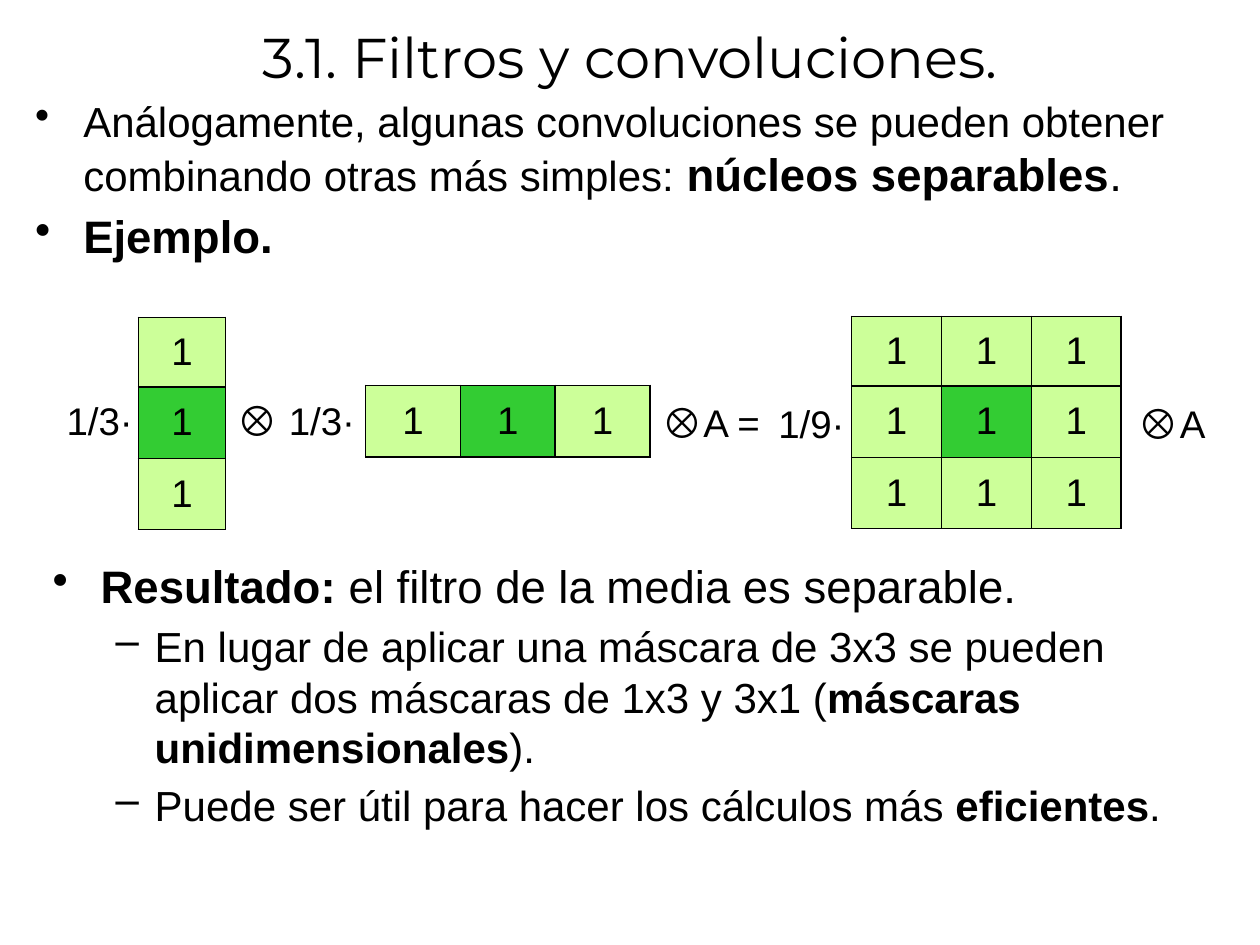
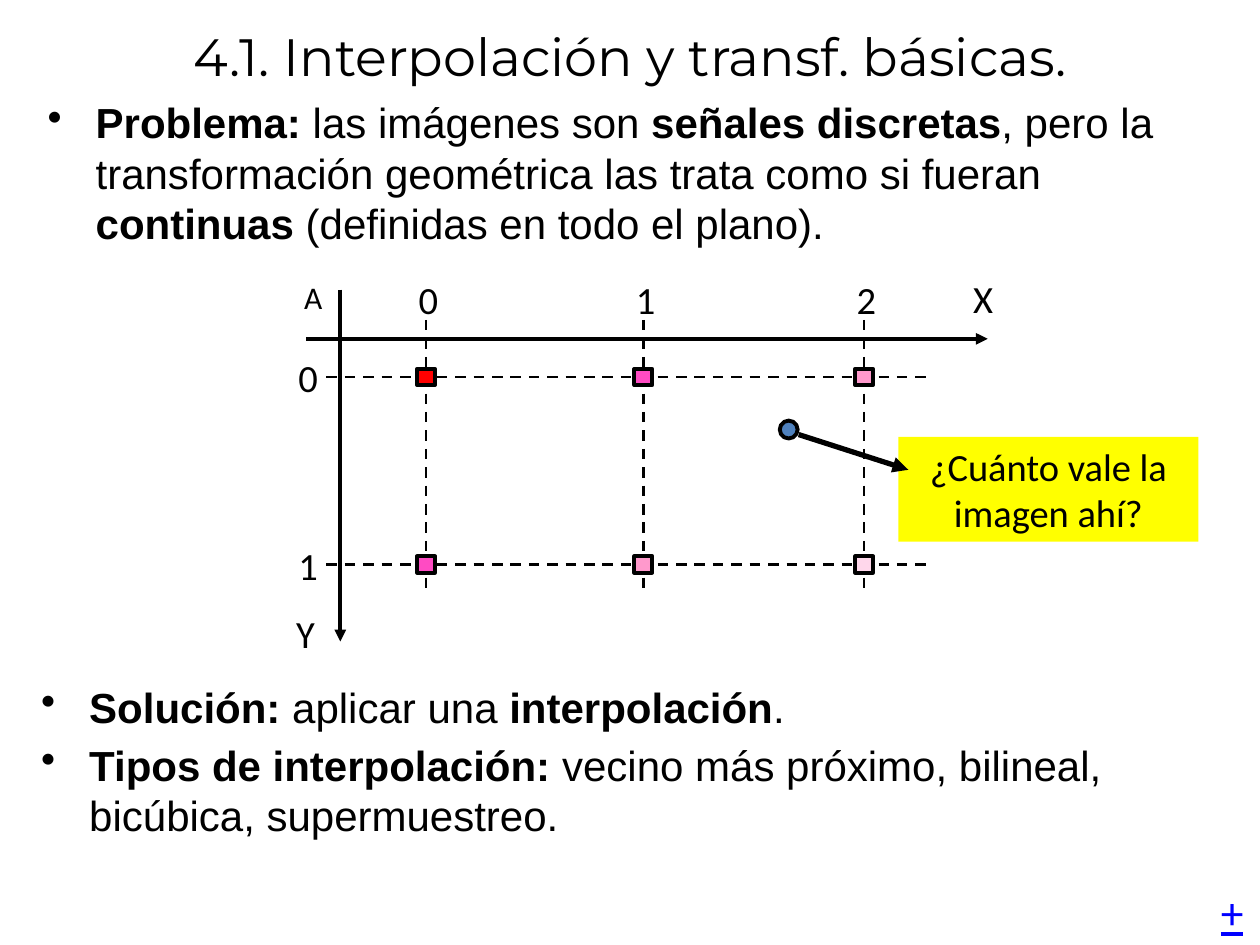
"""Build two slides on separable convolutions and image interpolation."""
import pptx
import pptx.dml.color
import pptx.enum.dml
import pptx.enum.shapes
import pptx.enum.text
import pptx.oxml
import pptx.oxml.ns
import pptx.util
import itertools

Cm, Pt = pptx.util.Cm, pptx.util.Pt
ALIGN = pptx.enum.text.PP_ALIGN
ANCHOR = pptx.enum.text.MSO_ANCHOR
SHAPE = pptx.enum.shapes.MSO_SHAPE

BLACK, LIME, GREEN, YELLOW = "000000", "CCFF99", "33CC33", "FFFF00"
RED, PINK, ROSE, PALE, BLUE, LINK = "FF0000", "FF4BC3", "FF99CC", "FFD7EB", "4F81BD", "0000FF"
BULLETS = [("•", 0.97, 0.97), ("–", 2.06, 0.79)]

FILTER_TITLE = ("3.1. Filtros y convoluciones.", 32)
FILTER_BULLETS = [
    ((0.46, 1.8, 24.41, 4.04), [
        (0, [("Análogamente, algunas convoluciones se pueden obtener combinando "
              "otras más simples:", 24, False),
             (" ", 26, False), ("núcleos separables", 26, True), (".", 26, False)]),
        (0, [("Ejemplo.", 26, True)]),
    ]),
    ((0.81, 11.13, 23.22, 6.38), [
        (0, [("Resultado:", 26, True), (" el filtro de la media es separable.", 26, False)]),
        (1, [("En lugar de aplicar una máscara de 3x3 se pueden aplicar dos máscaras "
              "de 1x3 y 3x1 (", 24, False),
             ("máscaras unidimensionales", 24, True), (").", 24, False)]),
        (1, [("Puede ser útil para hacer los cálculos más ", 24, False),
             ("eficientes", 24, True), (".", 24, False)]),
    ]),
]
KERNELS = [
    (2.79, 6.4, 1.76, [1.4, 1.44, 1.44], 1),
    (7.37, 7.77, 1.91, [1.44], 3),
    (17.17, 6.38, 1.81, [1.4, 1.44, 1.44], 3),
]
FORMULA = [
    ((1.02, 7.87, 1.98, 1.19), [("1/3·", 22, False)]),
    ((4.5, 7.8, 2.92, 1.27), [("⊗", 24, False), (" 1/3·", 22, False)]),
    ((12.93, 7.85, 2.79, 1.27), [("⊗", 24, False), ("A =", 22, False)]),
    ((15.37, 7.94, 1.98, 1.19), [("1/9·", 22, False)]),
    ((22.58, 7.87, 2.08, 1.27), [("⊗", 24, False), ("A", 22, False)]),
]

INTERP_TITLE = ("4.1. Interpolación y transf. básicas.", 30)
INTERP_BULLETS = [
    ((0.71, 1.83, 24.08, 3.86), [
        (0, [("Problema:", 24, True), (" las imágenes son ", 24, False),
             ("señales discretas", 24, True),
             (", pero la transformación geométrica las trata como si fueran ", 24, False),
             ("continuas", 24, True), (" (definidas en todo el plano).", 24, False)]),
    ]),
    ((0.58, 13.61, 24.08, 4.06), [
        (0, [("Solución:", 24, True), (" aplicar una ", 24, False),
             ("interpolación", 24, True), (".", 24, False)]),
        (0, [("Tipos de interpolación:", 24, True),
             (" vecino más próximo, bilineal, bicúbica, supermuestreo.", 24, False)]),
    ]),
]
GRID_X = [8.59, 12.97, 17.42]
GRID_Y = [7.6, 11.38]
PIXELS = [[RED, PINK, ROSE], [PINK, ROSE, PALE]]
AXES = [(6.17, 6.83, 19.91, 6.83), (6.86, 5.84, 6.86, 12.93)]
AXIS_NAMES = [("X", 19.08, 5.41, 22), ("Y", 5.41, 12.17, 22), ("A", 5.56, 5.49, 18)]
QUESTION = "¿Cuánto vale la imagen ahí?"


def rgb(color):
    return pptx.dml.color.RGBColor.from_string(color)


def add_runs(p, runs, font="Arial", color=BLACK):
    for text, size, bold in runs:
        r = p.add_run()
        r.text = text
        r.font.name, r.font.size, r.font.bold = font, Pt(size), bold
        r.font.color.rgb = rgb(color)


def add_text(s, box, runs, align=ALIGN.CENTER, font="Arial", color=BLACK, anchor=ANCHOR.TOP):
    sp = s.shapes.add_textbox(*map(Cm, box))
    tf = sp.text_frame
    tf.word_wrap, tf.vertical_anchor = True, anchor
    p = tf.paragraphs[0]
    p.alignment = align
    add_runs(p, runs, font, color)
    return sp


def add_bullets(s, box, items):
    tf = s.shapes.add_textbox(*map(Cm, box)).text_frame
    tf.word_wrap = True
    for i, (level, runs) in enumerate(items):
        p = tf.add_paragraph() if i else tf.paragraphs[0]
        char, margin, hang = BULLETS[level]
        pPr = p._p.get_or_add_pPr()
        pPr.set("marL", str(Cm(margin)))
        pPr.set("indent", str(-Cm(hang)))
        pptx.oxml.ns.qn("a:buChar")
        bullet = pPr.makeelement(pptx.oxml.ns.qn("a:buChar"), {"char": char})
        pPr.append(bullet)
        p.level = level
        if i:
            p.space_before = Pt(4.5)
        add_runs(p, runs)


def add_slide(prs, title, bullets):
    s = prs.slides.add_slide(prs.slide_layouts[6])
    add_text(s, (0.51, 0, 24.4, 2.26), [(*title, False)], font="Montserrat", anchor=ANCHOR.MIDDLE)
    for box, items in bullets:
        add_bullets(s, box, items)
    return s


def add_border(cell):
    tcPr = cell._tc.get_or_add_tcPr()
    for side in "LRTB":
        tcPr.append(pptx.oxml.parse_xml(
            f'<a:ln{side} {pptx.oxml.ns.nsdecls("a")} w="{Pt(1)}"><a:solidFill>'
            f'<a:srgbClr val="{BLACK}"/></a:solidFill></a:ln{side}>'))


def add_kernel(s, left, top, col_width, row_heights, n_cols):
    n_rows = len(row_heights)
    frame = s.shapes.add_table(n_rows, n_cols, Cm(left), Cm(top),
                               Cm(col_width * n_cols), Cm(sum(row_heights)))
    table = frame.table
    table.first_row = table.horz_banding = False
    for col in table.columns:
        col.width = Cm(col_width)
    for row, height in zip(table.rows, row_heights):
        row.height = Cm(height)
    for i, j in itertools.product(range(n_rows), range(n_cols)):
        cell = table.cell(i, j)
        add_border(cell)
        cell.fill.solid()
        cell.fill.fore_color.rgb = rgb(GREEN if (i, j) == (n_rows // 2, n_cols // 2) else LIME)
        cell.vertical_anchor = ANCHOR.MIDDLE
        p = cell.text_frame.paragraphs[0]
        p.alignment = ALIGN.CENTER
        add_runs(p, [("1", 22, False)])


def add_line(s, ends, width, dashed=False, arrow=False):
    line = s.shapes.add_connector(pptx.enum.shapes.MSO_CONNECTOR.STRAIGHT, *map(Cm, ends))
    line.line.color.rgb = rgb(BLACK)
    line.line.width = Pt(width)
    if dashed:
        line.line.dash_style = pptx.enum.dml.MSO_LINE.DASH
    spPr = line._element.spPr
    if arrow:
        ln = line.line._get_or_add_ln()
        ln.append(ln.makeelement(pptx.oxml.ns.qn("a:tailEnd"), {"type": "triangle"}))
    spPr.append(spPr.makeelement(pptx.oxml.ns.qn("a:effectLst"), {}))


def add_marker(s, kind, x, y, width, height, color):
    sp = s.shapes.add_shape(kind, Cm(x - width / 2), Cm(y - height / 2), Cm(width), Cm(height))
    sp.shadow.inherit = False
    sp.fill.solid()
    sp.fill.fore_color.rgb = rgb(color)
    sp.line.color.rgb = rgb(BLACK)
    sp.line.width = Pt(2.25)


def add_label(s, text, left, top, width, size=22):
    add_text(s, (left, top, width, 1.19), [(text, size, False)], ALIGN.RIGHT, "Calibri")


def build_filters(prs):
    s = add_slide(prs, FILTER_TITLE, FILTER_BULLETS)
    for kernel in KERNELS:
        add_kernel(s, *kernel)
    for box, runs in FORMULA:
        add_text(s, box, runs)


def build_interpolation(prs):
    s = add_slide(prs, INTERP_TITLE, INTERP_BULLETS)
    for axis in AXES:
        add_line(s, axis, 2.25, arrow=True)
    for name, left, top, size in AXIS_NAMES:
        add_label(s, name, left, top, 1.19, size)
    for i, y in enumerate(GRID_Y):
        add_label(s, str(i), 5.69, y - 0.58, 0.97)
        add_line(s, (6.58, y, 18.72, y), 1.5, dashed=True)
    for j, x in enumerate(GRID_X):
        add_label(s, str(j), x - 0.48, 5.44, 0.97)
        add_line(s, (x, 6.45, x, 12), 1.5, dashed=True)
    for y, colors in zip(GRID_Y, PIXELS):
        for x, color in zip(GRID_X, colors):
            add_marker(s, SHAPE.RECTANGLE, x, y, 0.36, 0.33, color)
    add_marker(s, SHAPE.OVAL, 15.9, 8.66, 0.36, 0.36, BLUE)
    question = add_text(s, (18.11, 8.81, 6.05, 2.11), [(QUESTION, 22, False)], font="Calibri")
    question.fill.solid()
    question.fill.fore_color.rgb = rgb(YELLOW)
    add_line(s, (16.1, 8.76, 18.31, 9.47), 3, arrow=True)
    plus = add_text(s, (24.36, 17.7, 1.04, 1.35), [("+", 26, False)], ALIGN.LEFT, "Calibri", LINK)
    plus.text_frame.word_wrap = False
    plus.text_frame.paragraphs[0].runs[0].font.underline = True


def main():
    prs = pptx.Presentation()
    prs.slide_width, prs.slide_height = Cm(25.4), Cm(19.05)
    build_filters(prs)
    build_interpolation(prs)
    prs.save("out.pptx")


if __name__ == "__main__":
    main()
